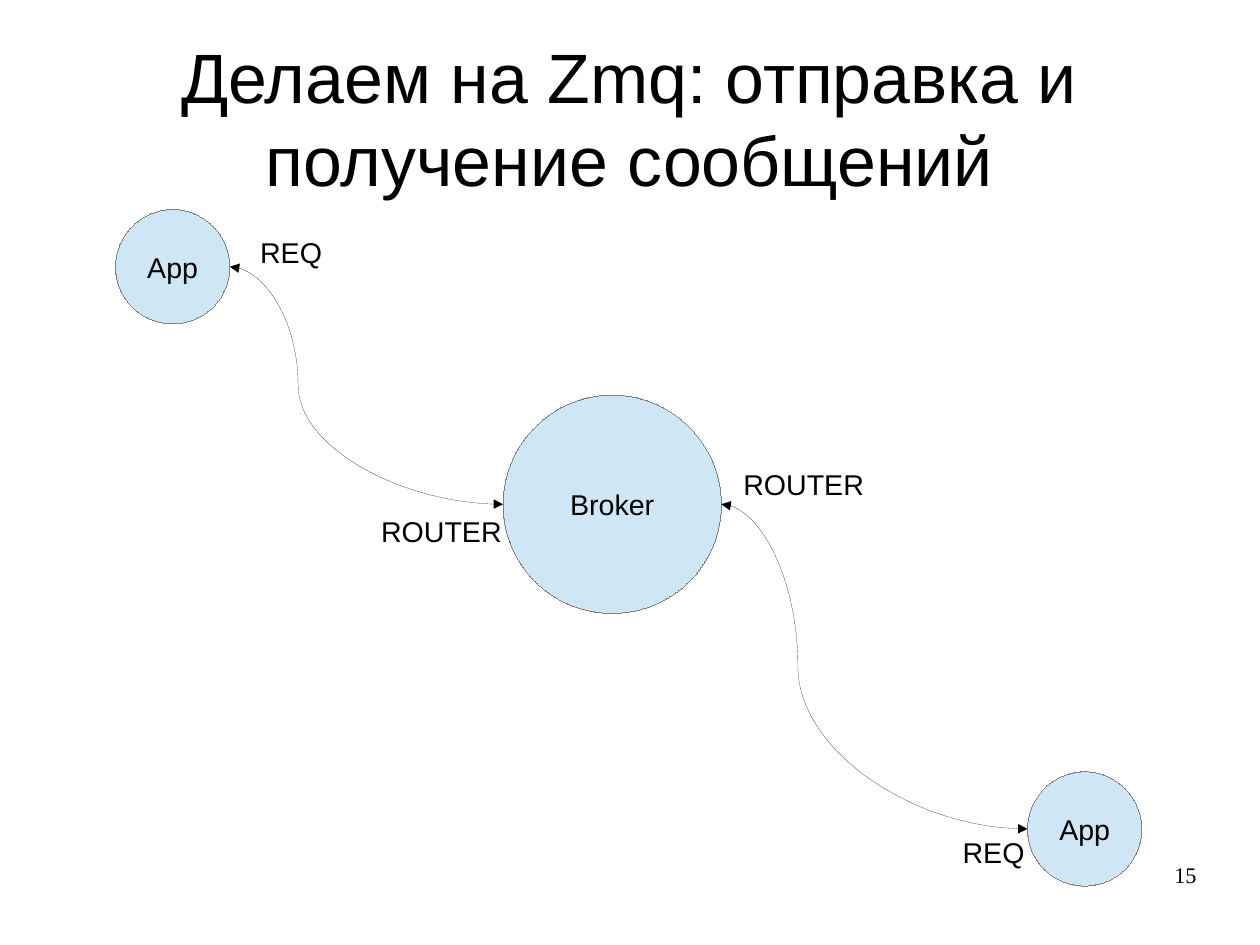
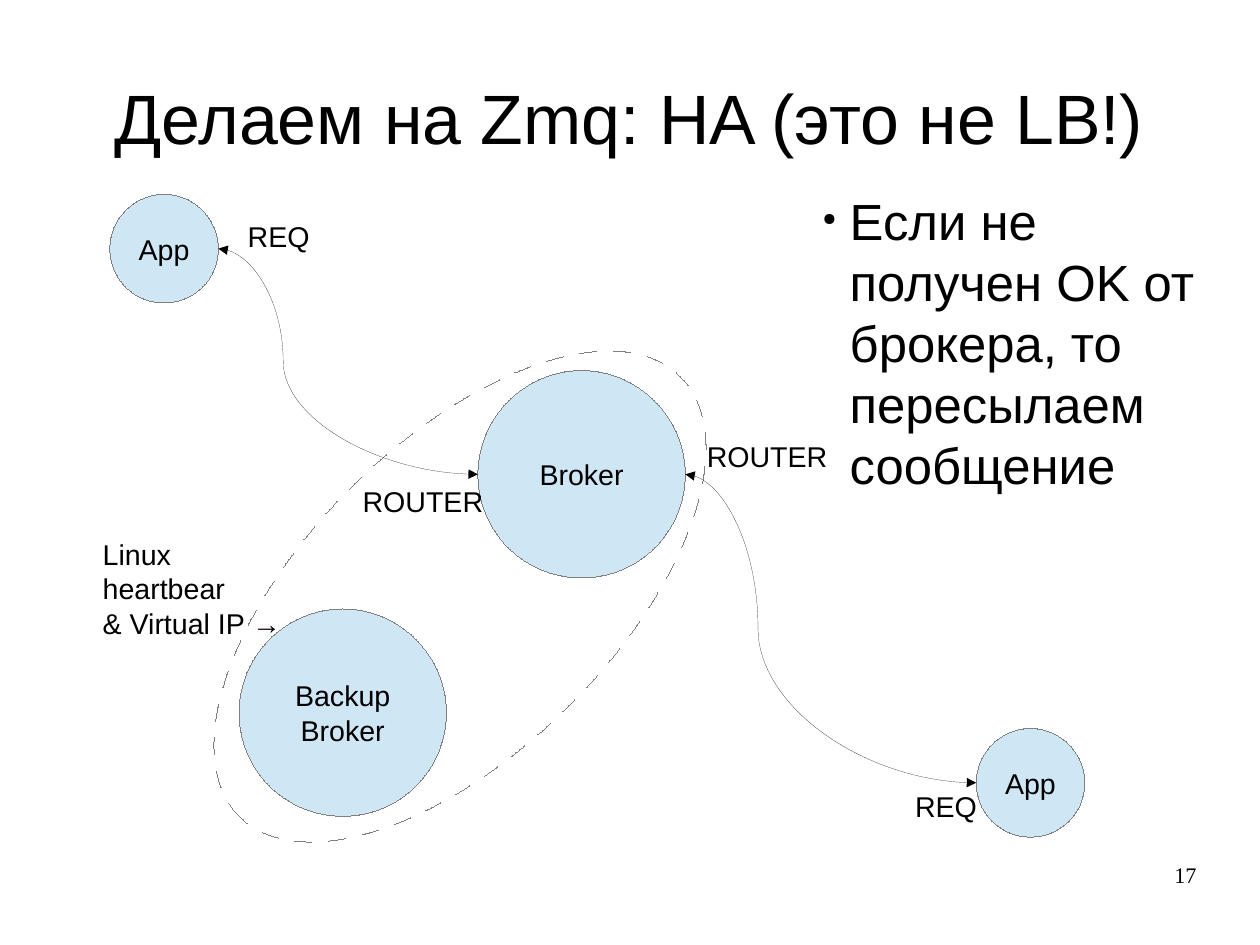
from lxml.etree import SubElement
from pptx import Presentation
from pptx.dml.color import RGBColor
from pptx.enum.shapes import MSO_CONNECTOR, MSO_SHAPE
from pptx.enum.text import MSO_ANCHOR, PP_ALIGN
from pptx.oxml.ns import qn
from pptx.util import Pt

# Shared look
BLACK = RGBColor(0x00, 0x00, 0x00)
WHITE = RGBColor(0xFF, 0xFF, 0xFF)
GREY = RGBColor(0x80, 0x80, 0x80)
PALE_BLUE = RGBColor(0xCF, 0xE7, 0xF5)
SLIDE_SIZE = (793.7, 595.28)
TITLE_BOX = (39.6, 24.2, 714.2, 99)
NUMBER_BOX = (568.8, 542.6, 185, 41)
INSETS = (7.2, 3.6, 7.2, 3.6)
NO_INSETS = (0, 0, 0, 0)
TITLE = {"name": "Arial", "size": Pt(44)}
BODY = {"name": "Arial", "size": Pt(32)}
LABEL = {"name": "Arial", "size": Pt(18)}
NUMBER = {"name": "Times New Roman", "size": Pt(14)}

# Diagram at full scale: circles as (left, top, diameter), links left to right
NODES = {
    "sender": ("App", 72.8, 132, 72),
    "broker": ("Broker", 316.9, 248.9, 137.5),
    "receiver": ("App", 647.3, 486.2, 72),
}
LINKS = [("sender", "broker"), ("broker", "receiver")]
SOCKETS = [  # text, left, top, width
    ("REQ", 156.8, 144.4, 55),
    ("REQ", 599.3, 522.4, 55),
    ("ROUTER", 233, 320, 94),
    ("ROUTER", 461.2, 290.5, 94),
]

SLIDES = [
    {"title": "Делаем на Zmq: отправка и получение сообщений",
     "number": "15", "scale": 1, "shift": 0},
    {"title": "Делаем на Zmq: HA (это не LB!)",
     "number": "17", "scale": 0.95, "shift": -3,
     "cluster": (93.6, 278.6, 392.4, 194.4, 315.1),
     "backup": ("Backup\nBroker", 150.6, 383.6, 130.6),
     "note": ("Linux heartbear\n& Virtual IP →", (57.6, 334.8, 130, 67.7)),
     "bullet": ("Если не получен OK от брокера, то пересылаем сообщение",
                (511.2, 115.9, 266.4, 186.5))},
]


def write(sp, text, font, align=PP_ALIGN.LEFT, anchor=MSO_ANCHOR.TOP,
          insets=INSETS, wrap=True, bullet=False):
    tf = sp.text_frame
    tf.word_wrap, tf.vertical_anchor = wrap, anchor
    for side, inset in zip(("left", "top", "right", "bottom"), insets):
        setattr(tf, f"margin_{side}", Pt(inset))
    tf.text = text
    for p in tf.paragraphs:
        p.alignment = align
        if bullet:
            add_bullet(p)
        for r in p.runs:
            for name, value in font.items():
                setattr(r.font, name, value)
            r.font.color.rgb = BLACK


def add_bullet(p):
    pPr = p._p.get_or_add_pPr()
    pPr.set("marL", str(Pt(17)))
    pPr.set("indent", str(-Pt(17)))
    color = SubElement(pPr, qn("a:buClr"))
    SubElement(color, qn("a:srgbClr"), val=str(BLACK))
    SubElement(pPr, qn("a:buSzPct"), val="34000")
    SubElement(pPr, qn("a:buChar"), char="●")


def add_text(s, box, text, font, **layout):
    write(s.shapes.add_textbox(*map(Pt, box)), text, font, **layout)


def set_hairline(sp, color):
    sp.line.color.rgb = color
    ln = sp.line._get_or_add_ln()
    ln.set("w", "0")  # a zero width must be written out
    return ln


def add_ellipse(s, box, fill):
    sp = s.shapes.add_shape(MSO_SHAPE.FLOWCHART_CONNECTOR, *map(Pt, box))
    sp.shadow.inherit = False
    sp.fill.solid()
    sp.fill.fore_color.rgb = fill
    return sp, set_hairline(sp, GREY)


def add_node(s, text, left, top, size):
    sp, _ = add_ellipse(s, (left, top, size, size), PALE_BLUE)
    write(sp, text, LABEL, PP_ALIGN.CENTER, MSO_ANCHOR.MIDDLE, wrap=False)


def add_cluster(s, left, top, width, height, angle):
    sp, ln = add_ellipse(s, (left, top, width, height), WHITE)
    sp.rotation = angle
    dash = SubElement(ln, qn("a:custDash"))
    SubElement(dash, qn("a:ds"), d="1400000", sp="1400000")


def add_link(s, start, end):
    (_, x1, y1, d1), (_, x2, y2, d2) = start, end
    ends = (x1 + d1, y1 + d1 / 2, x2, y2 + d2 / 2)
    cxn = s.shapes.add_connector(MSO_CONNECTOR.CURVE, *map(Pt, ends))
    ln = set_hairline(cxn, BLACK)
    for tag in ("a:headEnd", "a:tailEnd"):
        SubElement(ln, qn(tag), type="triangle")
    spPr = cxn._element.spPr
    SubElement(spPr, qn("a:effectLst"))
    # Bend a quarter of the way across
    guides = spPr.find(qn("a:prstGeom")).get_or_add_avLst()
    SubElement(guides, qn("a:gd"), name="adj1", fmla="val 25000")


def add_diagram(s, scale, shift):
    nodes = {key: (text, x * scale, y * scale + shift, d * scale)
             for key, (text, x, y, d) in NODES.items()}
    for node in nodes.values():
        add_node(s, *node)
    for start, end in LINKS:
        add_link(s, nodes[start], nodes[end])
    for text, x, y, width in SOCKETS:
        add_text(s, (x * scale, y * scale + shift, width, 27.4), text, LABEL)


def add_slide(prs, data):
    s = prs.slides.add_slide(prs.slide_layouts[6])
    add_text(s, TITLE_BOX, data["title"], TITLE, align=PP_ALIGN.CENTER,
             anchor=MSO_ANCHOR.MIDDLE, insets=NO_INSETS)
    if "cluster" in data:
        add_cluster(s, *data["cluster"])
    add_diagram(s, data["scale"], data["shift"])
    if "backup" in data:
        add_node(s, *data["backup"])
    # Side texts
    for key, font in (("note", LABEL), ("bullet", BODY)):
        if key in data:
            text, box = data[key]
            add_text(s, box, text, font, bullet=key == "bullet")
    add_text(s, NUMBER_BOX, data["number"], NUMBER, align=PP_ALIGN.RIGHT,
             insets=NO_INSETS)


def main():
    prs = Presentation()
    prs.slide_width, prs.slide_height = map(Pt, SLIDE_SIZE)
    for data in SLIDES:
        add_slide(prs, data)
    prs.save("out.pptx")


if __name__ == "__main__":
    main()
